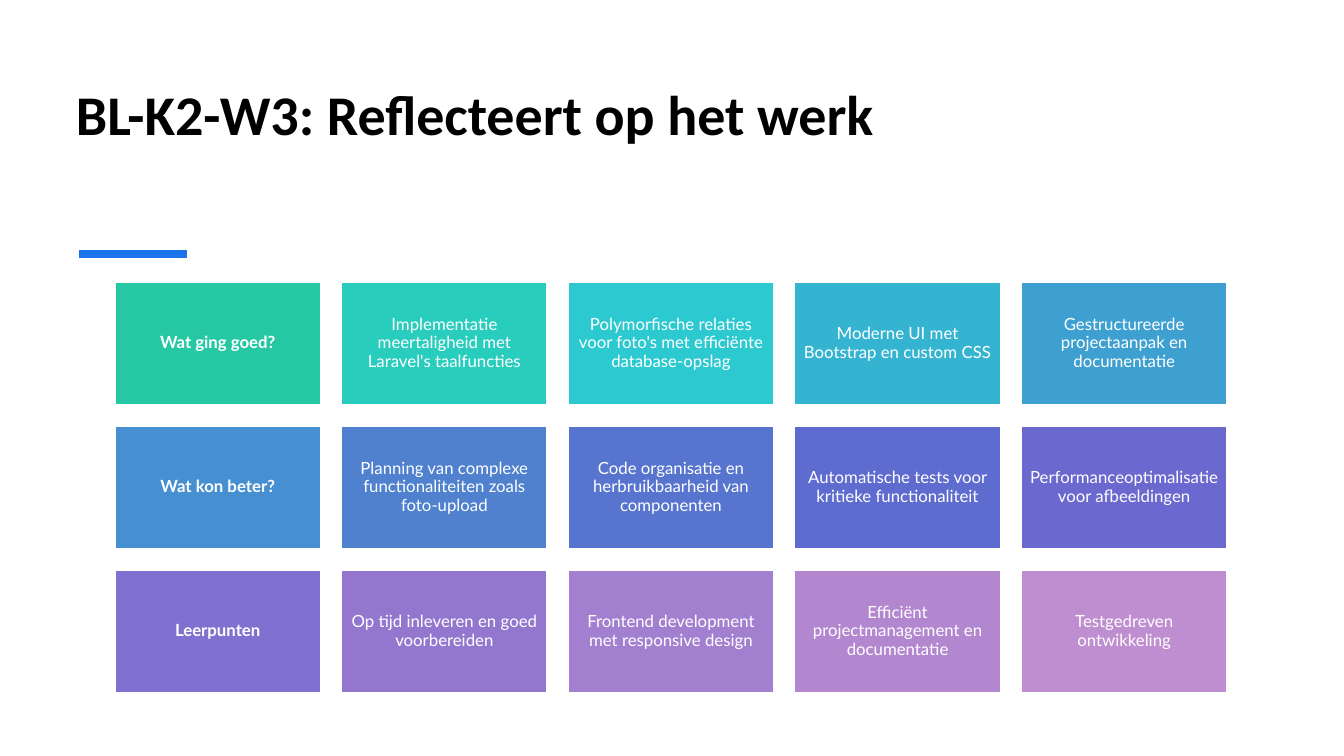
from dataclasses import dataclass

from lxml.etree import SubElement
from pptx import Presentation
from pptx.dml.color import RGBColor
from pptx.enum.shapes import MSO_CONNECTOR, MSO_SHAPE
from pptx.enum.text import MSO_ANCHOR, MSO_AUTO_SIZE, PP_ALIGN
from pptx.oxml.ns import qn
from pptx.util import Emu, Pt

EMU_PER_PX = 914400 / 100.8


@dataclass(frozen=True)
class Theme:
    title_font: str = "Calibri"
    card_font: str = "Lato"
    title_size: int = 40
    card_size: int = 12
    accent_width: int = 6
    card_border: int = 1
    title_color: str = "000000"
    card_text: str = "FFFFFF"
    accent: str = "1973EB"


THEME = Theme()

REFLECTION_ROWS = [
    [
        ("Wat ging goed?", "25C8A2"),
        ("Implementatie meertaligheid met Laravel's taalfuncties", "29CDBD"),
        ("Polymorfische relaties voor foto's met efficiënte database-opslag", "2CC9D1"),
        ("Moderne UI met Bootstrap en custom CSS", "34B4D1"),
        ("Gestructureerde projectaanpak en documentatie", "3DA0D0"),
    ],
    [
        ("Wat kon beter?", "468FD0"),
        ("Planning van complexe functionaliteiten zoals foto-upload", "4F81CF"),
        ("Code organisatie en herbruikbaarheid van componenten", "5775CF"),
        ("Automatische tests voor kritieke functionaliteit", "5F6CCF"),
        ("Performanceoptimalisatie voor afbeeldingen", "6B68CF"),
    ],
    [
        ("Leerpunten", "8070CF"),
        ("Op tijd inleveren en goed voorbereiden", "9377CF"),
        ("Frontend development met responsive design", "A37FD0"),
        ("Efficiënt projectmanagement en documentatie", "B287D0"),
        ("Testgedreven ontwikkeling", "BF8ED1"),
    ],
]


def px(length):
    return Emu(round(length * EMU_PER_PX))


def color(value):
    return RGBColor.from_string(value)


def format_text(paragraph, font_name, size, text_color, bold):
    for run in paragraph.runs:
        run.font.name = font_name
        run.font.size = Pt(size)
        run.font.color.rgb = color(text_color)
        run.font.bold = bold


def set_margins(text_frame, left, top, right, bottom):
    text_frame.margin_left = px(left)
    text_frame.margin_top = px(top)
    text_frame.margin_right = px(right)
    text_frame.margin_bottom = px(bottom)


def set_title(slide, text):
    title = slide.shapes.title
    title.left, title.top = px(71), px(62)
    title.width, title.height = px(1200), px(154)
    text_frame = title.text_frame
    text_frame.text = text
    text_frame.word_wrap = True
    text_frame.auto_size = MSO_AUTO_SIZE.NONE
    text_frame.vertical_anchor = MSO_ANCHOR.BOTTOM
    set_margins(text_frame, 5, 5, 5, 69)
    paragraph = text_frame.paragraphs[0]
    paragraph.alignment = PP_ALIGN.LEFT
    format_text(paragraph, THEME.title_font, THEME.title_size, THEME.title_color, True)


def add_accent(slide, left, right, y):
    accent = slide.shapes.add_connector(
        MSO_CONNECTOR.STRAIGHT, px(left), px(y), px(right), px(y)
    )
    accent.line.color.rgb = color(THEME.accent)
    accent.line.width = Pt(THEME.accent_width)
    SubElement(accent.element.spPr, qn("a:effectLst"))


def add_card(slide, left, top, width, height, text, fill, bold):
    card = slide.shapes.add_shape(
        MSO_SHAPE.RECTANGLE, px(left), px(top), px(width), px(height)
    )
    card.shadow.inherit = False
    card.fill.solid()
    card.fill.fore_color.rgb = color(fill)
    card.line.color.rgb = color(THEME.card_text)
    card.line.width = Pt(THEME.card_border)
    text_frame = card.text_frame
    text_frame.text = text
    text_frame.word_wrap = True
    text_frame.vertical_anchor = MSO_ANCHOR.MIDDLE
    set_margins(text_frame, 5, 5, 5, 5)
    paragraph = text_frame.paragraphs[0]
    paragraph.alignment = PP_ALIGN.CENTER
    paragraph.line_spacing = 0.9
    format_text(paragraph, THEME.card_font, THEME.card_size, THEME.card_text, bold)


def add_card_grid(slide, rows, left, top, width, card_height, gap):
    columns = len(rows[0])
    card_width = (width - gap * (columns - 1)) / columns
    for row_index, row in enumerate(rows):
        for column_index, (text, fill) in enumerate(row):
            add_card(
                slide,
                left + column_index * (card_width + gap),
                top + row_index * (card_height + gap),
                card_width,
                card_height,
                text,
                fill,
                column_index == 0,
            )


def main():
    presentation = Presentation()
    presentation.slide_width = px(1344)
    presentation.slide_height = px(756)
    slide = presentation.slides.add_slide(presentation.slide_layouts[5])
    set_title(slide, "BL-K2-W3: Reflecteert op het werk")
    add_accent(slide, 79, 187, 254)
    add_card_grid(slide, REFLECTION_ROWS, 115, 282, 1112, 123, 21)
    presentation.save("out.pptx")


if __name__ == "__main__":
    main()
